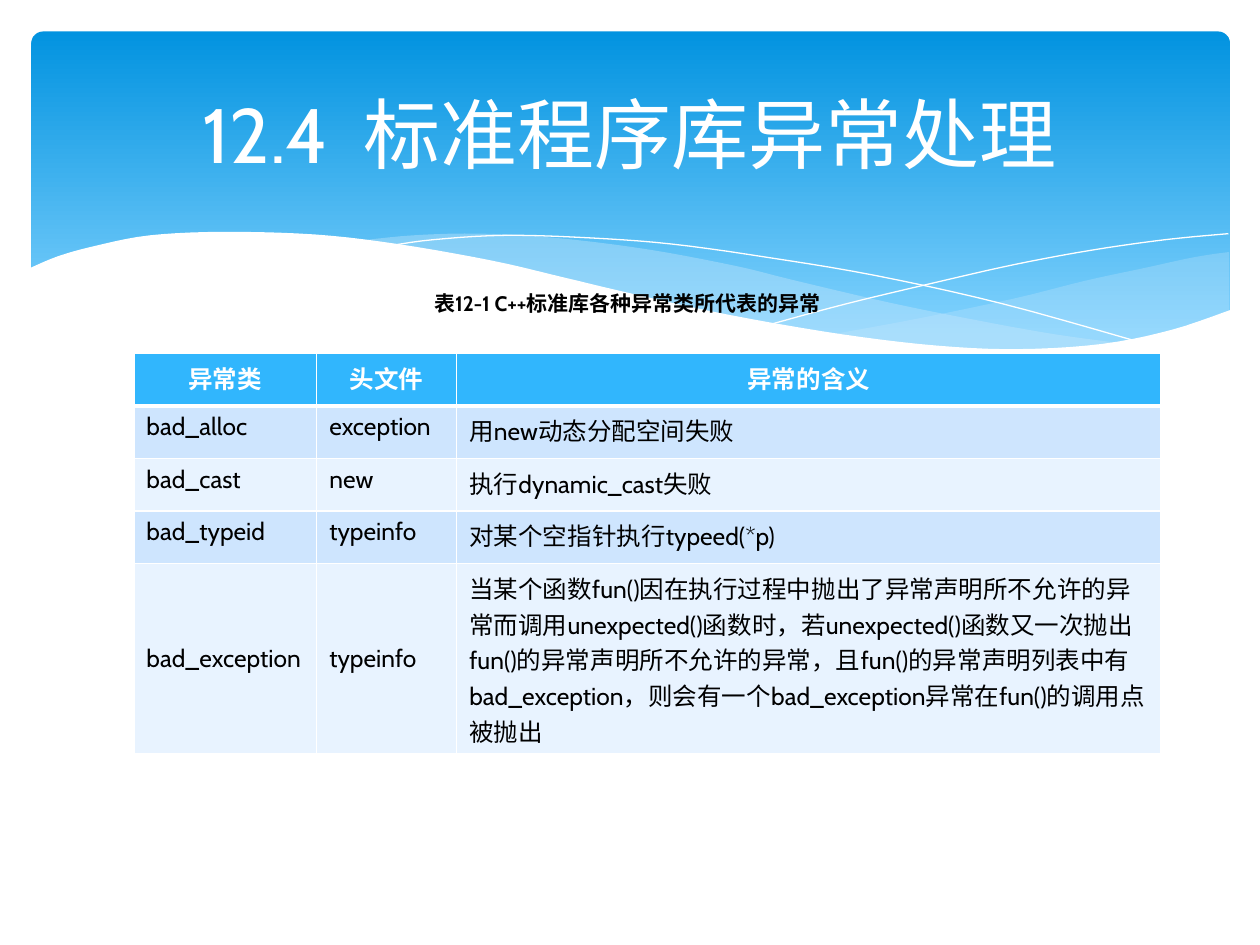
"""Build the slide on standard library exceptions, with a wave banner and a table."""
from dataclasses import dataclass
from typing import Optional

import lxml.etree
import pptx
import pptx.dml.color
import pptx.enum.dml
import pptx.enum.shapes
import pptx.enum.text
import pptx.oxml
import pptx.oxml.ns
import pptx.util

Point = tuple[float, float]
Pt = pptx.util.Pt
Anchor = pptx.enum.text.MSO_ANCHOR
Align = pptx.enum.text.PP_ALIGN


@dataclass(frozen=True)
class Theme:
    font: str = "Cabin"
    white: str = "FFFFFF"
    black: str = "000000"
    banner_top: str = "0293E0"
    banner_bottom: str = "83D3FE"
    ribbon: str = "C6E7FC"
    header: str = "31B6FD"
    bands: tuple[str, str] = ("CEE5FE", "E8F3FF")
    title_size: float = 44
    table_size: float = 14
    caption_size: float = 12


@dataclass(frozen=True)
class Wave:
    curves: tuple[tuple[Point, ...], ...]
    corners: tuple[Point, ...] = ()
    fill: Optional[str] = None
    opacity: int = 100


@dataclass(frozen=True)
class TextStyle:
    size: float
    color: str
    bold: bool = False
    align: Align = Align.LEFT


THEME = Theme()
WAVES = (
    Wave((((476, 191), (525, 182), (580, 170.5), (620, 160.5), (652.5, 153.5),
           (682.5, 147), (702.5, 144)),
          ((702.5, 178), (678, 186.5), (651.5, 193.5), (615, 198.5), (578, 200),
           (536.5, 198), (476, 191))), fill=THEME.ribbon, opacity=29),
    Wave((((206, 137.5), (236, 134.5), (273.5, 133.5), (318, 136), (370, 142.5),
           (420.5, 152), (453, 160), (508.5, 173), (558, 183), (602.5, 191), (643, 196.5)),
          ((643, 196.5), (617, 199.5), (581, 200.5), (538.5, 198.5), (489.5, 193),
           (432.5, 183.5), (381.5, 173), (323.5, 160), (276, 149), (232.5, 141),
           (206, 137.5))), fill=THEME.ribbon, opacity=40),
    Wave((((222.5, 140.5), (247.5, 137), (288.5, 134.5), (337.5, 136), (384, 139.5),
           (438, 147), (500.5, 157.5), (572.5, 173.5), (653, 196)),)),
    Wave((((441.5, 185), (484, 173.5), (538.5, 160.5), (580.5, 151), (623.5, 143),
           (665.5, 137), (702, 133.5)),)),
    Wave((((703.5, 177), (669.5, 188.5), (630, 196.5), (582.5, 199.5), (535.5, 197.5),
           (481, 191), (417, 180), (362, 168), (322, 158.5), (281.5, 149),
           (227.5, 139.5), (180, 134), (127.5, 132.5), (85.5, 134.5), (54.5, 140.5),
           (33, 146.5), (16.5, 153.5)),), ((16.5, 237), (703.5, 237)), THEME.white),
)
COLUMN_WIDTHS = (104.5, 80, 402.5)
ROW_HEIGHTS = (30, 30, 30, 30, 109)
ROWS = (
    ("异常类", "头文件", "异常的含义"),
    ("bad_alloc", "exception", "用new动态分配空间失败"),
    ("bad_cast", "new", "执行dynamic_cast失败"),
    ("bad_typeid", "typeinfo", "对某个空指针执行typeed(*p)"),
    ("bad_exception", "typeinfo",
     "当某个函数fun()因在执行过程中抛出了异常声明所不允许的异常而调用unexpected()函数时，"
     "若unexpected()函数又一次抛出fun()的异常声明所不允许的异常，且fun()的异常声明列表中有"
     "bad_exception，则会有一个bad_exception异常在fun()的调用点被抛出"),
)


def rgb(color: str) -> pptx.dml.color.RGBColor:
    return pptx.dml.color.RGBColor.from_string(color)


def smooth(knots: tuple[Point, ...], steps: int = 5) -> list[Point]:
    padded = (knots[0], *knots, knots[-1])
    points = [knots[0]]
    for a, b, c, d in zip(padded, padded[1:], padded[2:], padded[3:]):
        for step in range(1, steps + 1):
            t = step / steps
            points.append(tuple(
                (2 * q + (r - p) * t + (2 * p - 5 * q + 4 * r - s) * t ** 2
                 + (3 * q - p - 3 * r + s) * t ** 3) / 2
                for p, q, r, s in zip(a, b, c, d)))
    return points


def write(frame, text: str, style: TextStyle) -> None:
    frame.text = text
    para = frame.paragraphs[0]
    para.alignment = style.align
    for span in para.runs:
        span.font.name = THEME.font
        span.font.size = Pt(style.size)
        span.font.bold = style.bold
        span.font.color.rgb = rgb(style.color)


def add_text(page, left: float, top: float, width: float, height: float,
             text: str, style: TextStyle, anchor: Anchor = Anchor.TOP) -> None:
    box = page.shapes.add_textbox(Pt(left), Pt(top), Pt(width), Pt(height))
    box.text_frame.word_wrap = True
    box.text_frame.vertical_anchor = anchor
    write(box.text_frame, text, style)


def add_banner(page) -> None:
    banner = page.shapes.add_shape(pptx.enum.shapes.MSO_SHAPE.ROUNDED_RECTANGLE,
                                   Pt(18), Pt(18), Pt(684.8), Pt(194.5))
    banner.adjustments[0] = 0.034
    banner.shadow.inherit = False
    banner.line.fill.background()
    banner.fill.gradient()
    banner.fill.gradient_angle = 270
    stops = ((0, THEME.banner_top), (0.9, THEME.banner_bottom))
    for stop, (position, color) in zip(banner.fill.gradient_stops, stops):
        stop.position = position
        stop.color.rgb = rgb(color)


def add_wave(page, wave: Wave) -> None:
    points = [point for curve in wave.curves for point in smooth(curve)]
    points.extend(wave.corners)
    start, *rest = [(Pt(x), Pt(y)) for x, y in points]
    builder = page.shapes.build_freeform(*start)
    builder.add_line_segments(rest, close=wave.fill is not None)
    shape = builder.convert_to_shape()
    shape.shadow.inherit = False
    if wave.fill is None:
        shape.fill.background()
        shape.line.color.rgb = rgb(THEME.white)
        shape.line.width = Pt(0)
        return
    shape.line.fill.background()
    shape.fill.solid()
    shape.fill.fore_color.rgb = rgb(wave.fill)
    if wave.opacity < 100:
        color = shape.element.spPr.find(".//" + pptx.oxml.ns.qn("a:srgbClr"))
        alpha = lxml.etree.SubElement(color, pptx.oxml.ns.qn("a:alpha"))
        alpha.set("val", str(wave.opacity * 1000))


def set_borders(cell, widths: dict[str, float]) -> None:
    properties = cell._tc.get_or_add_tcPr()
    for side, width in widths.items():
        properties.append(pptx.oxml.parse_xml(
            f'<a:ln{side} {pptx.oxml.ns.nsdecls("a")} w="{Pt(width)}"><a:solidFill>'
            f'<a:srgbClr val="{THEME.white}"/></a:solidFill></a:ln{side}>'))


def add_exception_table(page) -> None:
    table = page.shapes.add_table(len(ROWS), len(COLUMN_WIDTHS), Pt(76.5), Pt(202),
                                  Pt(sum(COLUMN_WIDTHS)), Pt(sum(ROW_HEIGHTS))).table
    for column, width in zip(table.columns, COLUMN_WIDTHS):
        column.width = Pt(width)
    head = TextStyle(THEME.table_size, THEME.white, True, Align.CENTER)
    body = TextStyle(THEME.table_size, THEME.black)
    last = len(ROWS) - 1
    for i, (texts, height) in enumerate(zip(ROWS, ROW_HEIGHTS)):
        table.rows[i].height = Pt(height)
        for j, text in enumerate(texts):
            cell = table.cell(i, j)
            write(cell.text_frame, text, body if i else head)
            set_borders(cell, {"L": 1, "R": 1, "T": 3 if i == 1 else 1, "B": 1 if i else 3})
            cell.fill.solid()
            cell.fill.fore_color.rgb = rgb(THEME.bands[(i - 1) % 2] if i else THEME.header)
            if i == last and j < 2:
                cell.vertical_anchor = Anchor.MIDDLE


def main() -> None:
    deck = pptx.Presentation()
    deck.slide_width, deck.slide_height = Pt(720), Pt(540)
    page = deck.slides.add_slide(deck.slide_layouts[6])
    add_banner(page)
    for wave in WAVES:
        add_wave(page, wave)
    add_text(page, 36, 26.5, 648, 98.5, "12.4  标准程序库异常处理",
             TextStyle(THEME.title_size, THEME.white, align=Align.CENTER), Anchor.MIDDLE)
    add_exception_table(page)
    add_text(page, 241, 162.3, 237.5, 21.5, "表12-1 C++标准库各种异常类所代表的异常",
             TextStyle(THEME.caption_size, THEME.black, True))
    deck.save("out.pptx")


main()
